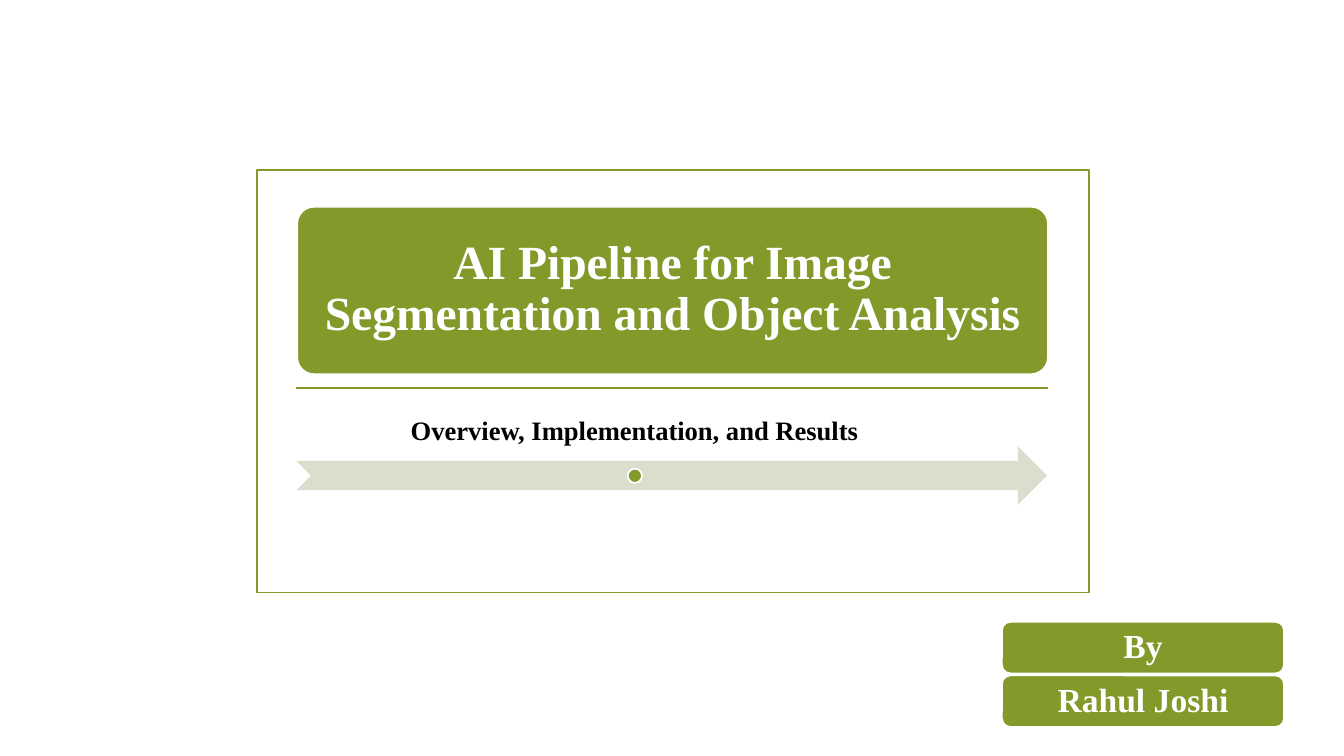
from lxml import etree
from pptx import Presentation
from pptx.dml.color import RGBColor
from pptx.enum.shapes import MSO_CONNECTOR, MSO_SHAPE
from pptx.enum.text import MSO_ANCHOR, MSO_AUTO_SIZE, PP_ALIGN
from pptx.oxml.ns import qn
from pptx.util import Cm, Pt

RECTANGLE, ROUNDED = MSO_SHAPE.RECTANGLE, MSO_SHAPE.ROUNDED_RECTANGLE
ARROW, OVAL = MSO_SHAPE.NOTCHED_RIGHT_ARROW, MSO_SHAPE.OVAL
STRAIGHT = MSO_CONNECTOR.STRAIGHT
MIDDLE, BOTTOM = MSO_ANCHOR.MIDDLE, MSO_ANCHOR.BOTTOM
NO_AUTOFIT = MSO_AUTO_SIZE.NONE
CENTER = PP_ALIGN.CENTER

FONT = "Times New Roman"
OLIVE, PALE_OLIVE, WHITE, BLACK = "83992A", "D9DECD", "FFFFFF", "000000"
LINE_WIDTH = Pt(1.25)


def rgb(hex_color):
    """Turn a hex string into a colour."""
    return RGBColor.from_string(hex_color)


def set_line(line, color):
    """Give a line its colour and the common width, or hide it."""
    if color is None:
        line.fill.background()
    else:
        line.color.rgb = rgb(color)
        line.width = LINE_WIDTH


def add_block(slide, kind, box, fill=None, line=None):
    """Add a preset shape without shadow; box is left, top, width, height in cm."""
    block = slide.shapes.add_shape(kind, *map(Cm, box))
    block.shadow.inherit = False
    if fill is None:
        block.fill.background()
    else:
        block.fill.solid()
        block.fill.fore_color.rgb = rgb(fill)
    set_line(block.line, line)
    return block


def add_rule(slide, left, right, top):
    """Add a horizontal olive rule."""
    rule = slide.shapes.add_connector(STRAIGHT, Cm(left), Cm(top), Cm(right), Cm(top))
    set_line(rule.line, OLIVE)
    etree.SubElement(rule._element.spPr, qn("a:effectLst"))


def write(holder, text, size, color, inset, anchor=MIDDLE):
    """Write centred bold text into a shape or placeholder."""
    frame = holder.text_frame
    frame.text = text
    frame.word_wrap = True
    frame.auto_size = NO_AUTOFIT
    frame.vertical_anchor = anchor
    frame.margin_left = frame.margin_right = Cm(inset)
    frame.margin_top = frame.margin_bottom = Cm(inset)
    paragraph = frame.paragraphs[0]
    paragraph.alignment = CENTER
    paragraph.line_spacing = 0.9
    paragraph.space_before = Pt(0)
    paragraph.font.name = FONT
    paragraph.font.size = Pt(size)
    paragraph.font.bold = True
    paragraph.font.color.rgb = rgb(color)


def place_on_top(slide, placeholder, box):
    """Move a placeholder to a box in cm, in front of the shapes drawn so far."""
    placeholder.left, placeholder.top, placeholder.width, placeholder.height = map(Cm, box)
    slide.shapes._spTree.append(placeholder._element)


def main():
    """Build the opening slide."""
    deck = Presentation()
    deck.slide_width, deck.slide_height = Cm(33.87), Cm(19.05)
    slide = deck.slides.add_slide(deck.slide_layouts[0])
    title, subtitle = slide.placeholders

    add_block(slide, RECTANGLE, (6.48, 4.29, 20.96, 10.64), line=OLIVE)
    add_rule(slide, 7.47, 26.42, 9.78)

    banner = add_block(slide, ROUNDED, (7.49, 5.21, 18.92, 4.22), OLIVE, WHITE)
    banner.adjustments[0] = 0.1
    place_on_top(slide, title, (7.62, 5.31, 18.67, 3.96))
    write(title, "AI Pipeline for Image Segmentation and Object Analysis", 34, WHITE, 0.36)

    add_block(slide, ARROW, (7.47, 11.25, 18.92, 1.47), PALE_OLIVE)
    place_on_top(slide, subtitle, (7.47, 10.16, 17.04, 1.47))
    write(subtitle, "Overview, Implementation, and Results", 19, BLACK, 0.38, BOTTOM)
    add_block(slide, OVAL, (15.82, 11.81, 0.36, 0.36), OLIVE, WHITE)

    for row, credit in enumerate(("By", "Rahul Joshi")):
        label = add_block(slide, ROUNDED, (25.25, 15.67 + 1.35 * row, 7.11, 1.3), OLIVE, WHITE)
        write(label, credit, 24, WHITE, 0.25)

    deck.save("out.pptx")


if __name__ == "__main__":
    main()
